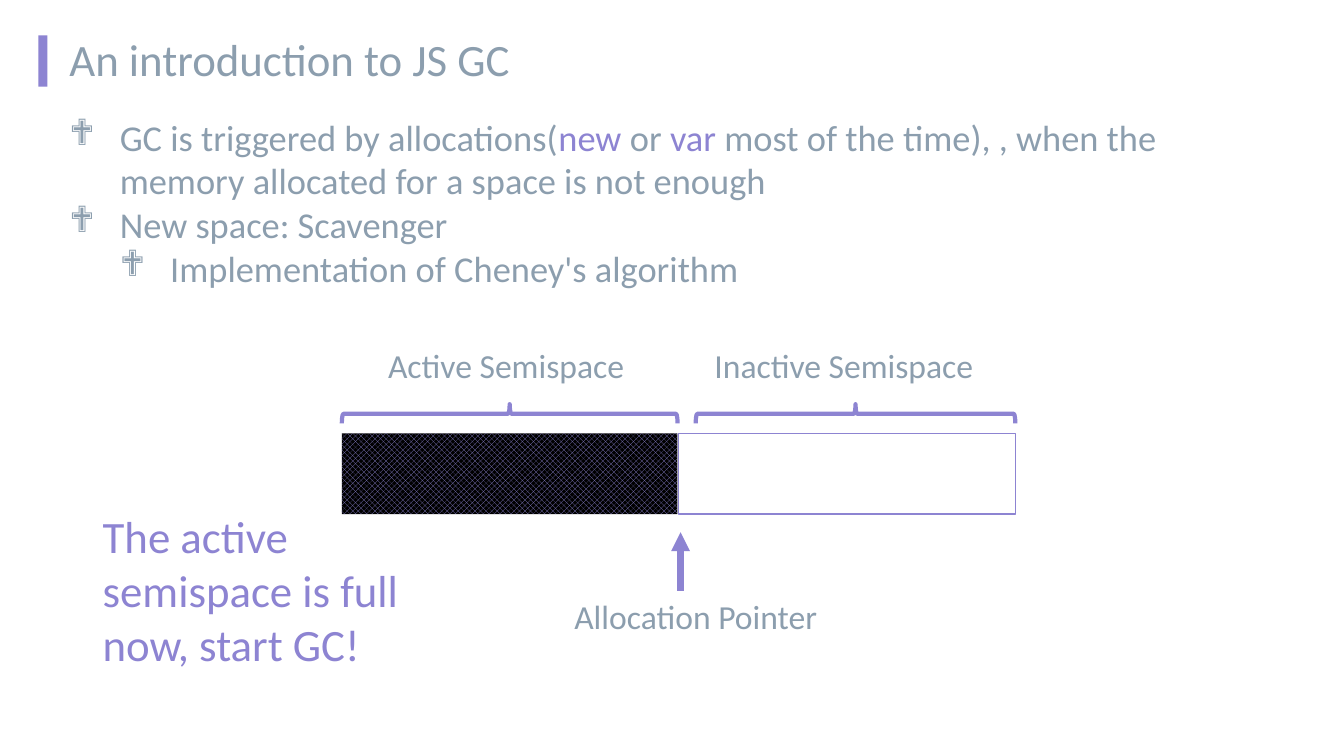
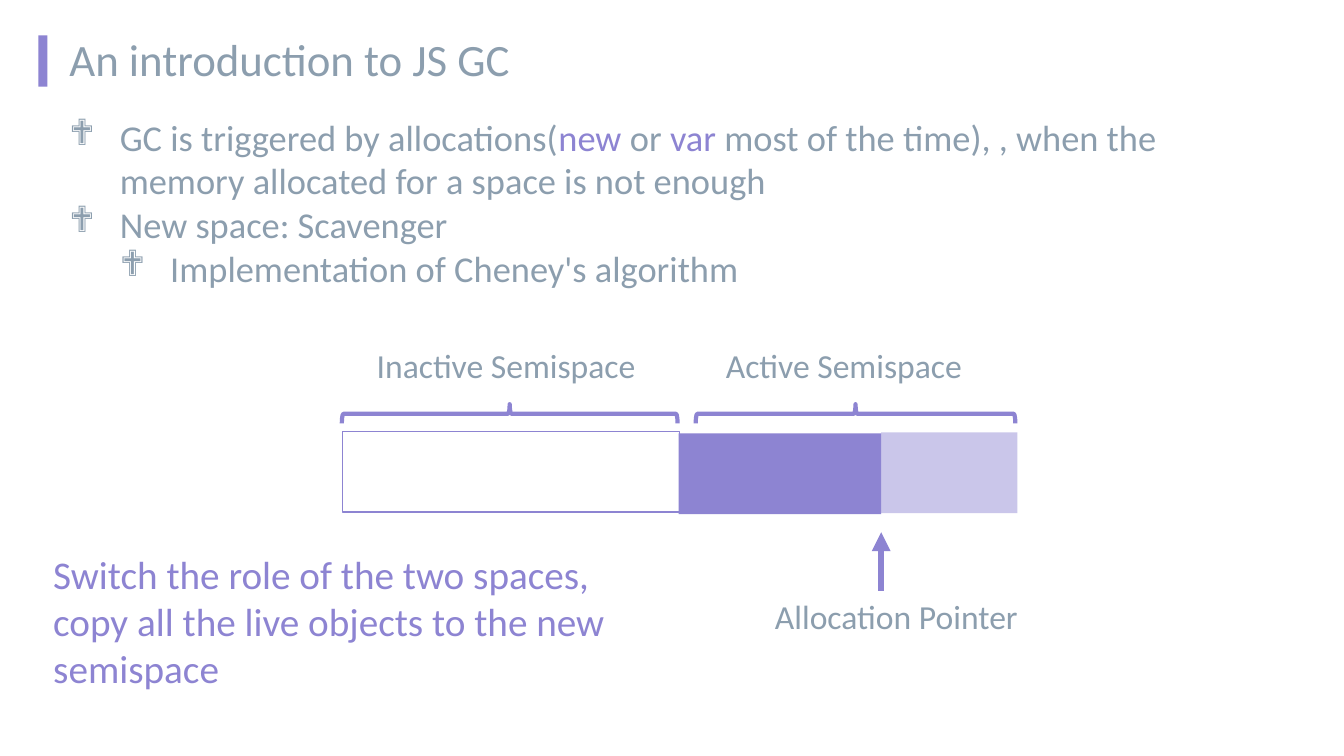
from dataclasses import dataclass
from lxml import etree
from pptx import Presentation
from pptx.dml.color import RGBColor
from pptx.enum.dml import MSO_PATTERN_TYPE as PATTERN
from pptx.enum.shapes import MSO_CONNECTOR as CONN, MSO_SHAPE as SHAPE
from pptx.enum.text import MSO_ANCHOR as ANCHOR, MSO_AUTO_SIZE as AUTO, PP_ALIGN as ALIGN
from pptx.oxml.ns import qn
from pptx.util import Inches, Pt


@dataclass(frozen=True)
class Theme:
    font: str = "Calibri"
    bullet_font: str = "Wingdings"
    text: RGBColor = RGBColor(0x8C, 0x9E, 0xAE)
    accent: RGBColor = RGBColor(0x8D, 0x84, 0xD2)
    black: RGBColor = RGBColor(0, 0, 0)
    title: int = 32
    body: int = 26
    label: int = 24
    note_large: int = 32
    note: int = 28


T = Theme()

# Bullets: level, then runs of (text, colour)
BULLETS = [
    (0, [("GC is triggered by allocations(", T.text), ("new", T.accent), (" or ", T.text),
         ("var", T.accent),
         (" most of the time), , when the memory allocated for a space is not enough", T.text)]),
    (0, [("New space: Scavenger", T.text)]),
    (1, [("Implementation of Cheney's algorithm", T.text)]),
]


# Basic parts
def add_run(p, text, size, color):
    r = p.add_run()
    r.text = text
    r.font.name, r.font.size = T.font, Pt(size)
    r.font.color.rgb = color


def add_frame(s, x, y, w, h, auto_size=AUTO.SHAPE_TO_FIT_TEXT):
    tf = s.shapes.add_textbox(Inches(x), Inches(y), Inches(w), Inches(h)).text_frame
    tf.word_wrap = True
    tf.auto_size = auto_size
    return tf


def add_text(s, x, y, w, h, text, size, color, align=ALIGN.LEFT):
    p = add_frame(s, x, y, w, h).paragraphs[0]
    p.alignment = align
    add_run(p, text, size, color)


def add_plain(s, kind, x, y, w, h):
    sp = s.shapes.add_shape(kind, Inches(x), Inches(y), Inches(w), Inches(h))
    sp.shadow.inherit = False
    sp.fill.background()
    sp.line.fill.background()
    return sp


def set_line(sp, width):
    sp.line.color.rgb = T.accent
    sp.line.width = Pt(width)


def set_fill(sp, alpha=100):
    sp.fill.solid()
    sp.fill.fore_color.rgb = T.accent
    if alpha < 100:
        color = sp.fill._xPr.find(qn("a:solidFill"))[0]
        etree.SubElement(color, qn("a:alpha")).set("val", str(alpha * 1000))


# Title with its accent bar
def add_title(s, x, y, text):
    set_fill(add_plain(s, SHAPE.RECTANGLE, x, y, 0.09, 0.51))
    tf = add_frame(s, x + 0.21, y, 10, 0.54, AUTO.NONE)
    tf.vertical_anchor = ANCHOR.BOTTOM
    p = tf.paragraphs[0]
    p.line_spacing = 0.8
    add_run(p, text, T.title, T.text)


# Bulleted list
def add_bullets(s, x, y, w, h, items):
    tf = add_frame(s, x, y, w, h)
    for i, (level, runs) in enumerate(items):
        p = tf.add_paragraph() if i else tf.paragraphs[0]
        p.level = level
        pPr = p._p.get_or_add_pPr()
        pPr.set("marL", str(Inches(0.5 * (level + 1))))
        pPr.set("indent", str(Inches(-0.5)))
        etree.SubElement(pPr, qn("a:buFont")).set("typeface", T.bullet_font)
        etree.SubElement(pPr, qn("a:buChar")).set("char", "❖")
        for text, color in runs:
            add_run(p, text, T.body, color)


# Memory diagram
def add_block(s, x, y, w, style):
    sp = add_plain(s, SHAPE.RECTANGLE, x, y, w, 0.8)
    if style == "full":
        sp.fill.patterned()
        sp.fill.pattern = PATTERN.SOLID_DIAMOND
        sp.fill.fore_color.rgb = T.accent
        sp.fill.back_color.rgb = T.black
    elif style == "empty":
        set_line(sp, 1)
    else:
        set_fill(sp, 46 if style == "free" else 100)


def add_brace(s, x, y, w, h=0.19):
    # A left brace turned to lie over the box x, y, w, h
    sp = add_plain(s, SHAPE.LEFT_BRACE, x + (w - h) / 2, y + (h - w) / 2, h, w)
    sp.rotation = 90
    set_line(sp, 3)


def add_pointer(s, x, y):
    cn = s.shapes.add_connector(CONN.STRAIGHT, Inches(x), Inches(y + 0.58), Inches(x), Inches(y))
    set_line(cn, 4.5)
    etree.SubElement(cn.line._get_or_add_ln(), qn("a:tailEnd")).set("type", "triangle")
    etree.SubElement(cn._element.spPr, qn("a:effectLst"))
    add_text(s, x - 1.42, y + 0.58, 3.14, 0.5, "Allocation Pointer", T.label, T.text, ALIGN.CENTER)


def add_memory(s, x, y, names, blocks, pointer):
    for dx, dy, w, style in blocks:
        add_block(s, x + dx, y + dy, w, style)
    for dx, w in ((0, 3.33), (3.51, 3.17)):
        add_brace(s, x + dx, y + 0.64, w)
    for dx, name in zip((0.06, 3.41), names):
        add_text(s, x + dx, y, 3.14, 0.5, name, T.label, T.text, ALIGN.CENTER)
    add_pointer(s, x + pointer, y + 1.91)


# Whole slide
def add_gc_slide(prs, names, blocks, pointer, note_box, note, note_size):
    s = prs.slides.add_slide(prs.slide_layouts[6])
    add_title(s, 0.38, 0.35, "An introduction to JS GC")
    add_bullets(s, 0.59, 1.09, 11.9, 1.85, BULLETS)
    add_memory(s, 3.39, 3.37, names, blocks, pointer)
    add_text(s, *note_box, note, note_size, T.accent)


def main():
    prs = Presentation()
    prs.slide_width, prs.slide_height = Inches(13.33), Inches(7.5)
    active, inactive = "Active Semispace", "Inactive Semispace"
    # Blocks: left and top within the diagram, width, style
    add_gc_slide(prs, (active, inactive),
                 [(0, 0.93, 3.33, "full"), (3.34, 0.93, 3.34, "empty")], 3.36,
                 (0.92, 5, 3.14, 1.72),
                 "The active semispace is full now, start GC!", T.note_large)
    add_gc_slide(prs, (inactive, active),
                 [(3.34, 0.93, 2.01, "used"), (5.35, 0.92, 1.35, "free"),
                  (0.01, 0.91, 3.34, "empty")], 5.35,
                 (0.43, 5.41, 6, 1.51),
                 "Switch the role of the two spaces, copy all the live objects to the new semispace",
                 T.note)
    prs.save("out.pptx")


if __name__ == "__main__":
    main()
